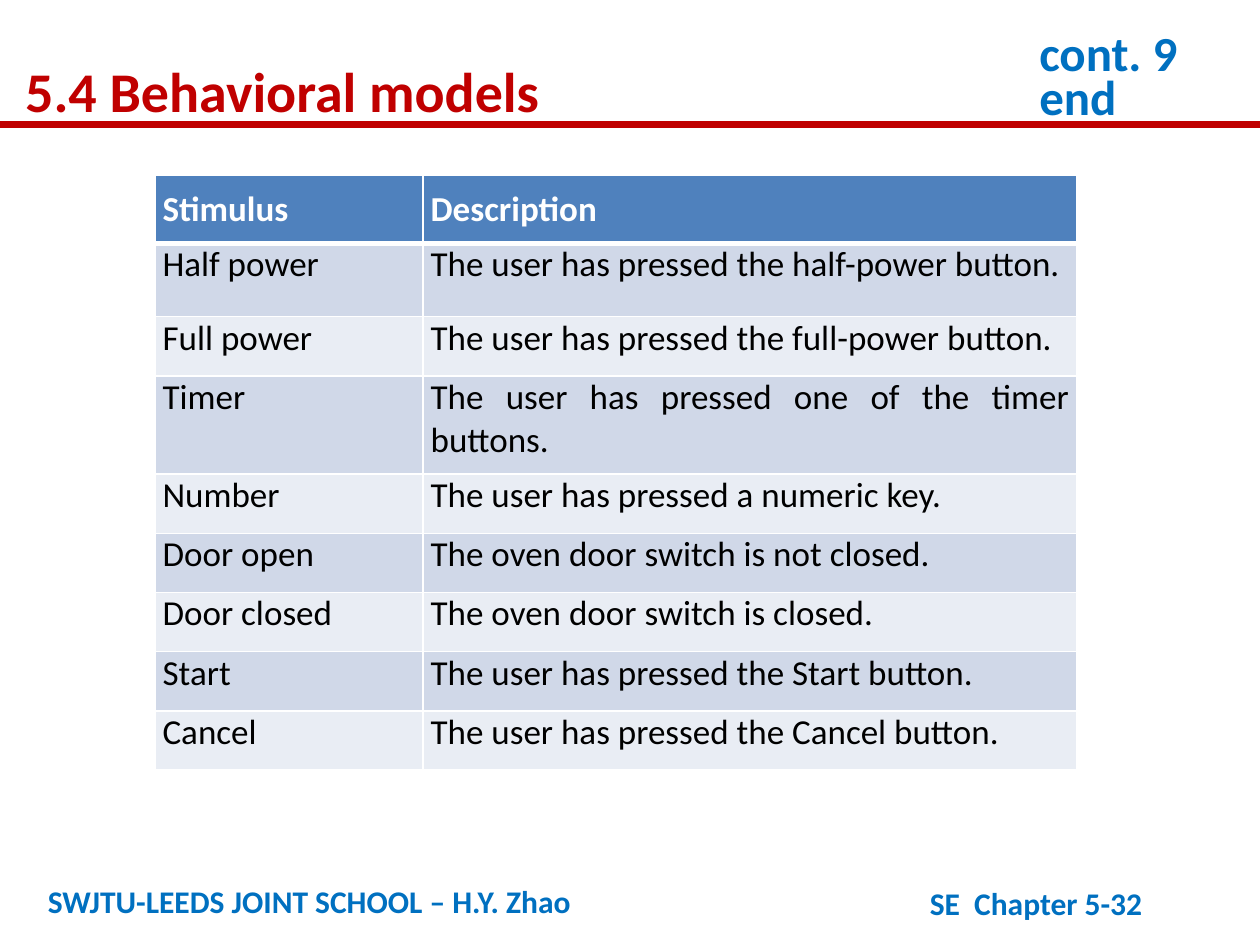
from lxml import etree
from pptx import Presentation
from pptx import util as u
from pptx.dml.color import RGBColor
from pptx.enum import shapes, text
from pptx.oxml.ns import qn

RED, BLUE, WHITE, BLACK = "C00000", "0070C0", "FFFFFF", "000000"
HEADER_FILL, BANDS = "4F81BD", ("D0D8E8", "E9EDF4")

TITLE = dict(lines=["5.4 Behavioral models"], box=(7.2, 20.9, 540, 50.4),
             size=32, color=RED, spacing=1.2)
LABELS = [
    dict(lines=["SWJTU-LEEDS JOINT SCHOOL – H.Y. Zhao"], box=(20.2, 500.4, 454.3, 28.8),
         size=18, color=BLUE),
    dict(lines=["SE  Chapter 5-32"], box=(524.2, 501.8, 187.9, 28.8), size=18, color=BLUE),
    dict(lines=["cont. 9", "end"], box=(586.8, 18, 113, 59), size=28, color=BLUE,
         spacing=u.Pt(25)),
]
STIMULI = [
    ("Stimulus", "Description"),
    ("Half power", "The user has pressed the half-power button."),
    ("Full power", "The user has pressed the full-power button."),
    ("Timer", "The user has pressed one of the timer buttons."),
    ("Number", "The user has pressed a numeric key."),
    ("Door open", "The oven door switch is not closed."),
    ("Door closed", "The oven door switch is closed."),
    ("Start", "The user has pressed the Start button."),
    ("Cancel", "The user has pressed the Cancel button."),
]
TABLE_LEFT, TABLE_TOP = 88.6, 100.1
COLUMNS = (153.2, 373.6)
ROW_HEIGHT, TALL_ROWS = 33.8, {0: 37, 1: 42, 3: 42}
RULE_Y = 71.3


def rgb(value):
    """Return the colour for a hex string."""
    return RGBColor.from_string(value)


def assign(obj, values):
    """Set each attribute of an object from a dict."""
    for name, value in values.items():
        setattr(obj, name, value)


def add_run(p, words, size, color, bold=True):
    """Add a formatted run to a paragraph."""
    r = p.add_run()
    r.text = words
    assign(r.font, dict(name="Calibri", size=u.Pt(size), bold=bold))
    r.font.color.rgb = rgb(color)


def write_lines(sp, lines, box, size, color, spacing=None):
    """Place a text shape and write its lines."""
    assign(sp, dict(zip(("left", "top", "width", "height"), map(u.Pt, box))))
    tf = sp.text_frame
    assign(tf, dict(word_wrap=True, auto_size=text.MSO_AUTO_SIZE.NONE,
                    vertical_anchor=text.MSO_ANCHOR.TOP))
    for i, line in enumerate(lines):
        p = tf.add_paragraph() if i else tf.paragraphs[0]
        assign(p, dict(alignment=text.PP_ALIGN.LEFT, line_spacing=spacing))
        add_run(p, line, size, color)


def add_borders(cell, widths):
    """Draw white borders on a cell, with widths keyed by side."""
    tc_pr = cell._tc.get_or_add_tcPr()
    for side, width in widths.items():
        ln = etree.SubElement(tc_pr, qn(f"a:ln{side}"), w=str(u.Pt(width)))
        fill = etree.SubElement(ln, qn("a:solidFill"))
        etree.SubElement(fill, qn("a:srgbClr"), val=WHITE)


def format_cell(cell, words, row):
    """Write and style one table cell."""
    header = row == 0
    add_borders(cell, dict(L=1, R=1, T=3 if row == 1 else 1, B=3 if header else 1))
    cell.fill.solid()
    cell.fill.fore_color.rgb = rgb(HEADER_FILL if header else BANDS[(row - 1) % 2])
    assign(cell, dict(margin_left=u.Pt(4.3), margin_right=u.Pt(4.3),
                      margin_top=u.Pt(7.2 if header else 0), margin_bottom=u.Pt(7.2)))
    p = cell.text_frame.paragraphs[0]
    p.alignment = text.PP_ALIGN.JUSTIFY
    add_run(p, words, 20, WHITE if header else BLACK, header)


def add_stimulus_table(s):
    """Add the table of stimuli."""
    heights = [TALL_ROWS.get(i, ROW_HEIGHT) for i in range(len(STIMULI))]
    frame = s.shapes.add_table(len(STIMULI), len(COLUMNS), u.Pt(TABLE_LEFT), u.Pt(TABLE_TOP),
                               u.Pt(sum(COLUMNS)), u.Pt(sum(heights)))
    table = frame.table
    for column, width in zip(table.columns, COLUMNS):
        column.width = u.Pt(width)
    for i, (height, entries) in enumerate(zip(heights, STIMULI)):
        table.rows[i].height = u.Pt(height)
        for j, words in enumerate(entries):
            format_cell(table.cell(i, j), words, i)


def add_rule(s, width):
    """Add the red rule under the title."""
    line = s.shapes.add_connector(shapes.MSO_CONNECTOR.STRAIGHT, 0, u.Pt(RULE_Y),
                                  width, u.Pt(RULE_Y))
    line.line.color.rgb = rgb(RED)
    line.line.width = u.Pt(4)
    etree.SubElement(line._element.spPr, qn("a:effectLst"))


def main():
    """Build the slide and save it."""
    prs = Presentation()
    assign(prs, dict(slide_width=u.Pt(720), slide_height=u.Pt(540)))
    s = prs.slides.add_slide(prs.slide_layouts[5])
    add_rule(s, prs.slide_width)
    write_lines(s.shapes.title, **TITLE)
    add_stimulus_table(s)
    for label in LABELS:
        write_lines(s.shapes.add_textbox(0, 0, 0, 0), **label)
    prs.save("out.pptx")


if __name__ == "__main__":
    main()
